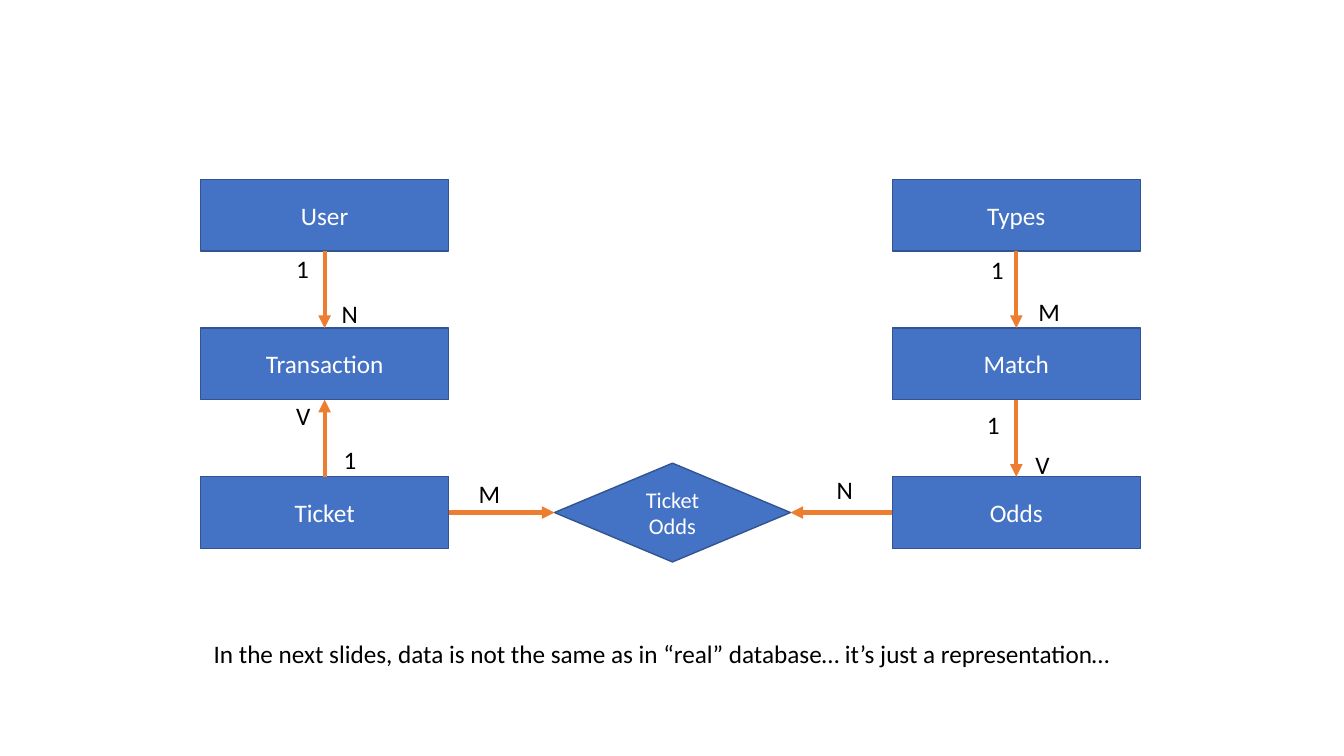
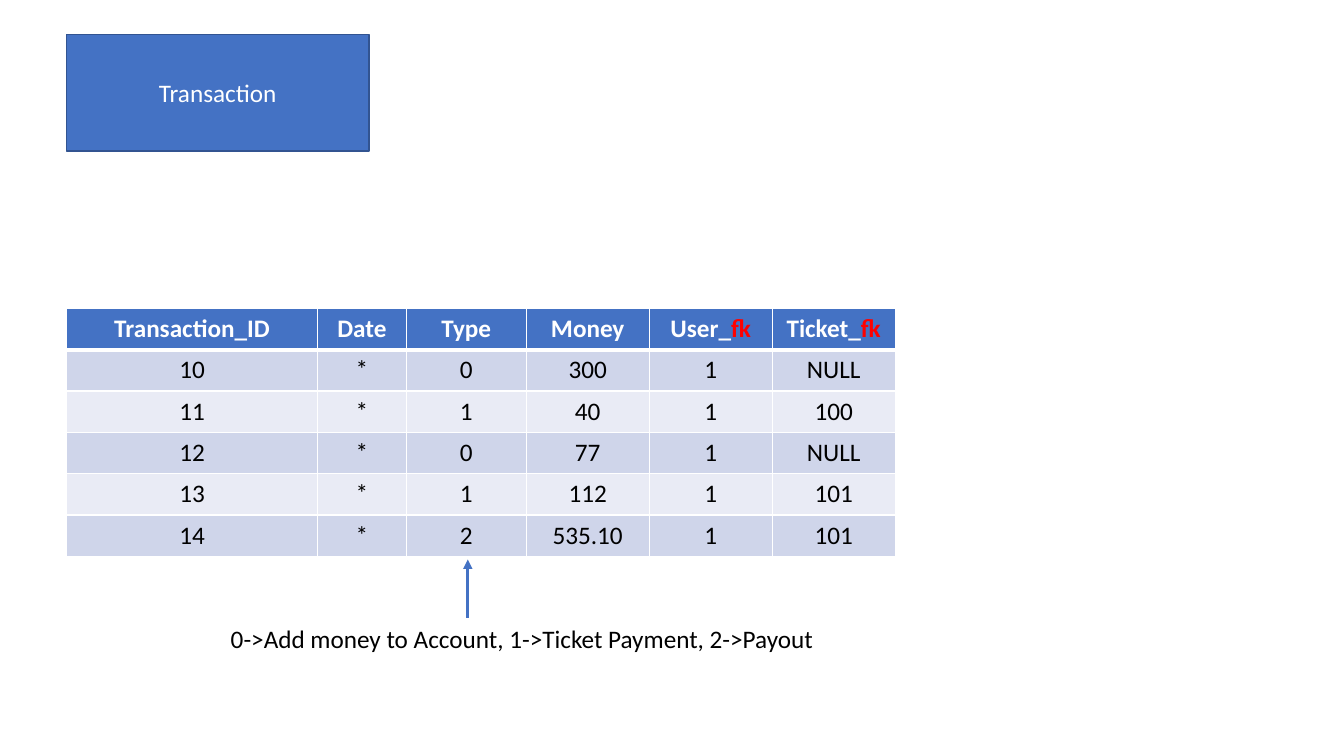
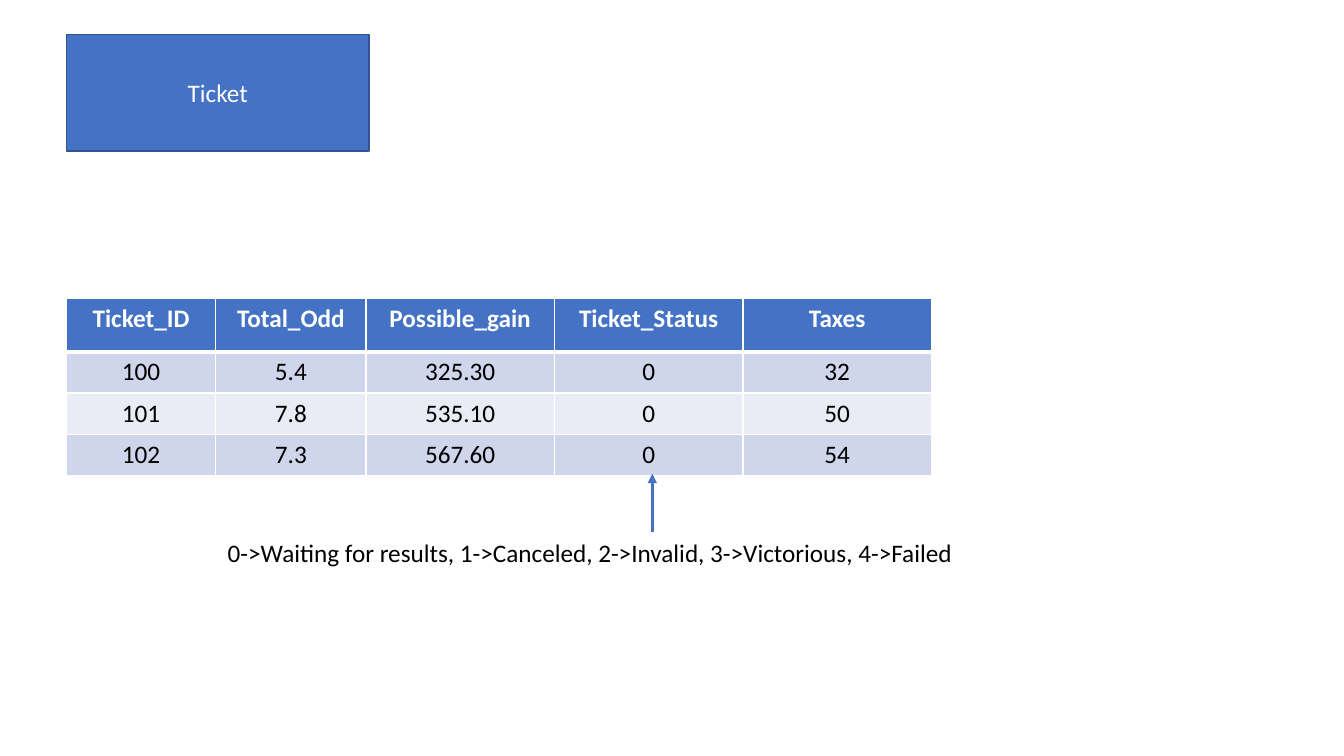
from lxml import etree
from pptx import Presentation
from pptx.dml.color import RGBColor
from pptx.enum.shapes import MSO_CONNECTOR, MSO_SHAPE
from pptx.enum.text import MSO_ANCHOR, MSO_AUTO_SIZE, PP_ALIGN
from pptx.oxml.ns import qn
from pptx.util import Inches, Pt

RECTANGLE, DECISION = MSO_SHAPE.RECTANGLE, MSO_SHAPE.FLOWCHART_DECISION
STRAIGHT = MSO_CONNECTOR.STRAIGHT
MIDDLE, FIT, CENTER = MSO_ANCHOR.MIDDLE, MSO_AUTO_SIZE.SHAPE_TO_FIT_TEXT, PP_ALIGN.CENTER
TOP, LEFT, BOTTOM, RIGHT = range(4)

COLORS = {
    "entity": "4472C4", "outline": "325491", "relation": "ED7D31",
    "white": "FFFFFF", "black": "000000", "key": "FF0000",
    "odd_row": "CFD5EA", "even_row": "E9EBF5",
}
FONT = "Calibri"
TEXT_HEIGHT = 0.4

# Entity diagram: name -> (column, row) of the grid
ENTITIES = {
    "User": (0, 0), "Transaction": (0, 1), "Ticket": (0, 2),
    "Types": (1, 0), "Match": (1, 1), "Odds": (1, 2),
}
COLUMN_LEFTS = (1.99, 8.85)
FIRST_ROW, LAST_ROW = 1.78, 4.73
ROW_PITCH = (LAST_ROW - FIRST_ROW) / 2
ENTITY_WIDTH, ENTITY_HEIGHT = 2.46, 0.71
JUNCTION = "Ticket Odds"
JUNCTION_LEFT, JUNCTION_WIDTH, JUNCTION_HEIGHT = 5.5, 2.34, 0.98

# From, side, to, side, multiplicity labels as (text, left, top)
RELATIONS = [
    ("User", BOTTOM, "Transaction", TOP, [("1", 2.84, 2.46), ("N", 3.29, 2.91)]),
    ("Ticket", TOP, "Transaction", BOTTOM, [("V", 2.84, 3.92), ("1", 3.31, 4.36)]),
    ("Types", BOTTOM, "Match", TOP, [("1", 9.73, 2.47), ("M", 10.2, 2.89)]),
    ("Match", BOTTOM, "Odds", TOP, [("1", 9.69, 4.01), ("V", 10.17, 4.41)]),
    ("Ticket", RIGHT, JUNCTION, LEFT, [("M", 4.65, 4.7)]),
    ("Odds", LEFT, JUNCTION, RIGHT, [("N", 8.2, 4.66)]),
]
LABEL_WIDTH = 0.3
DIAGRAM_NOTE = ("In the next slides, data is not the same as in “real” database… "
                "it’s just a representation…")

TABLE_LEFT, ROW_HEIGHT = 0.66, 0.41
NOTE_WIDTH, ARROW_LENGTH = 8.92, 0.58
TABLE_SLIDES = [
    {
        "entity": "Transaction", "top": 3.06, "header_height": ROW_HEIGHT,
        "widths": [2.49, 0.88, 1.19, 1.22, 1.22, 1.22],
        "rows": [
            ("Transaction_ID", "Date", "Type", "Money", "User_fk", "Ticket_fk"),
            ("10", "*", "0", "300", "1", "NULL"),
            ("11", "*", "1", "40", "1", "100"),
            ("12", "*", "0", "77", "1", "NULL"),
            ("13", "*", "1", "112", "1", "101"),
            ("14", "*", "2", "535.10", "1", "101"),
        ],
        "note": "0->Add money to Account, 1->Ticket Payment, 2->Payout",
        "note_at": (2.19, 6.13), "arrow_x": 4.64,
    },
    {
        "entity": "Ticket", "top": 2.96, "header_height": 0.53,
        "widths": [1.48, 1.49, 1.87, 1.87, 1.87],
        "rows": [
            ("Ticket_ID", "Total_Odd", "Possible_gain", "Ticket_Status", "Taxes"),
            ("100", "5.4", "325.30", "0", "32"),
            ("101", "7.8", "535.10", "0", "50"),
            ("102", "7.3", "567.60", "0", "54"),
        ],
        "note": "0->Waiting for results, 1->Canceled, 2->Invalid, 3->Victorious, 4->Failed",
        "note_at": (2.16, 5.28), "arrow_x": 6.47,
    },
]


def rgb(name):
    return RGBColor.from_string(COLORS[name])


def add_span(para, text, color, size=18, bold=False):
    span = para.add_run()
    span.text = text
    for name, value in {"name": FONT, "size": Pt(size), "bold": bold}.items():
        setattr(span.font, name, value)
    span.font.color.rgb = rgb(color)


def add_entity(slide, text, left, top, width, height, preset=RECTANGLE, size=18):
    box = slide.shapes.add_shape(preset, *map(Inches, (left, top, width, height)))
    box.shadow.inherit = False
    box.fill.solid()
    box.fill.fore_color.rgb = rgb("entity")
    box.line.color.rgb = rgb("outline")
    box.line.width = Pt(1)
    box.text_frame.word_wrap = True
    box.text_frame.vertical_anchor = MIDDLE
    para = box.text_frame.paragraphs[0]
    para.alignment = CENTER
    add_span(para, text, "white", size)
    return box


def add_text(slide, text, left, top, width):
    box = slide.shapes.add_textbox(*map(Inches, (left, top, width, TEXT_HEIGHT)))
    for name, value in {"word_wrap": True, "auto_size": FIT}.items():
        setattr(box.text_frame, name, value)
    add_span(box.text_frame.paragraphs[0], text, "black")


def add_arrow(slide, color, weight, start=(0, 0), end=(0, 0)):
    arrow = slide.shapes.add_connector(STRAIGHT, *map(Inches, (*start, *end)))
    arrow.line.color.rgb = rgb(color)
    arrow.line.width = Pt(weight)
    etree.SubElement(arrow.line._get_or_add_ln(), qn("a:tailEnd"), type="triangle")
    etree.SubElement(arrow._element.spPr, qn("a:effectLst"))
    return arrow


def set_borders(cell, top, bottom):
    """Draw white cell borders; top and bottom are widths in points."""
    properties = cell._tc.get_or_add_tcPr()
    widths = {"a:lnL": 1, "a:lnR": 1, "a:lnT": top, "a:lnB": bottom}
    for position, (tag, width) in enumerate(widths.items()):
        border = etree.Element(qn(tag), w=str(Pt(width)))
        fill = etree.SubElement(border, qn("a:solidFill"))
        etree.SubElement(fill, qn("a:srgbClr"), val=COLORS["white"])
        properties.insert(position, border)


def fill_cell(cell, text, row):
    header = row == 0
    cell.fill.solid()
    cell.fill.fore_color.rgb = rgb("entity" if header else "odd_row" if row % 2 else "even_row")
    set_borders(cell, top=3 if row == 1 else 1, bottom=3 if header else 1)
    para = cell.text_frame.paragraphs[0]
    para.alignment = CENTER
    name, key, _ = text.partition("fk")
    add_span(para, name, "white" if header else "black", bold=header)
    if key:
        add_span(para, key, "key", bold=True)


def add_data_table(slide, content):
    rows, widths = content["rows"], content["widths"]
    heights = [content["header_height"]] + [ROW_HEIGHT] * (len(rows) - 1)
    area = (TABLE_LEFT, content["top"], sum(widths), sum(heights))
    table = slide.shapes.add_table(len(rows), len(widths), *map(Inches, area)).table
    table.horz_banding = False
    for column, width in zip(table.columns, widths):
        column.width = Inches(width)
    for row, (values, height) in enumerate(zip(rows, heights)):
        table.rows[row].height = Inches(height)
        for column, text in enumerate(values):
            fill_cell(table.cell(row, column), text, row)


def build_diagram(slide):
    boxes = {
        name: add_entity(slide, name, COLUMN_LEFTS[column], FIRST_ROW + row * ROW_PITCH,
                         ENTITY_WIDTH, ENTITY_HEIGHT)
        for name, (column, row) in ENTITIES.items()
    }
    junction_top = LAST_ROW + (ENTITY_HEIGHT - JUNCTION_HEIGHT) / 2
    boxes[JUNCTION] = add_entity(slide, JUNCTION, JUNCTION_LEFT, junction_top,
                                 JUNCTION_WIDTH, JUNCTION_HEIGHT, DECISION, 16)
    for source, source_side, target, target_side, labels in RELATIONS:
        arrow = add_arrow(slide, "relation", 3)
        arrow.begin_connect(boxes[source], source_side)
        arrow.end_connect(boxes[target], target_side)
        for text, left, top in labels:
            add_text(slide, text, left, top, LABEL_WIDTH)
    add_text(slide, DIAGRAM_NOTE, 2.02, 6.28, 9.29)


def build_table_slide(slide, content):
    add_entity(slide, content["entity"], TABLE_LEFT, 0.34, 3, 1.16)
    add_data_table(slide, content)
    left, top = content["note_at"]
    add_text(slide, content["note"], left, top, NOTE_WIDTH)
    x = content["arrow_x"]
    add_arrow(slide, "entity", 2.25, (x, top), (x, top - ARROW_LENGTH))


def main():
    deck = Presentation()
    deck.slide_width, deck.slide_height = Inches(13.33), Inches(7.5)
    blank = deck.slide_layouts[6]
    build_diagram(deck.slides.add_slide(blank))
    for content in TABLE_SLIDES:
        build_table_slide(deck.slides.add_slide(blank), content)
    deck.save("out.pptx")


if __name__ == "__main__":
    main()
